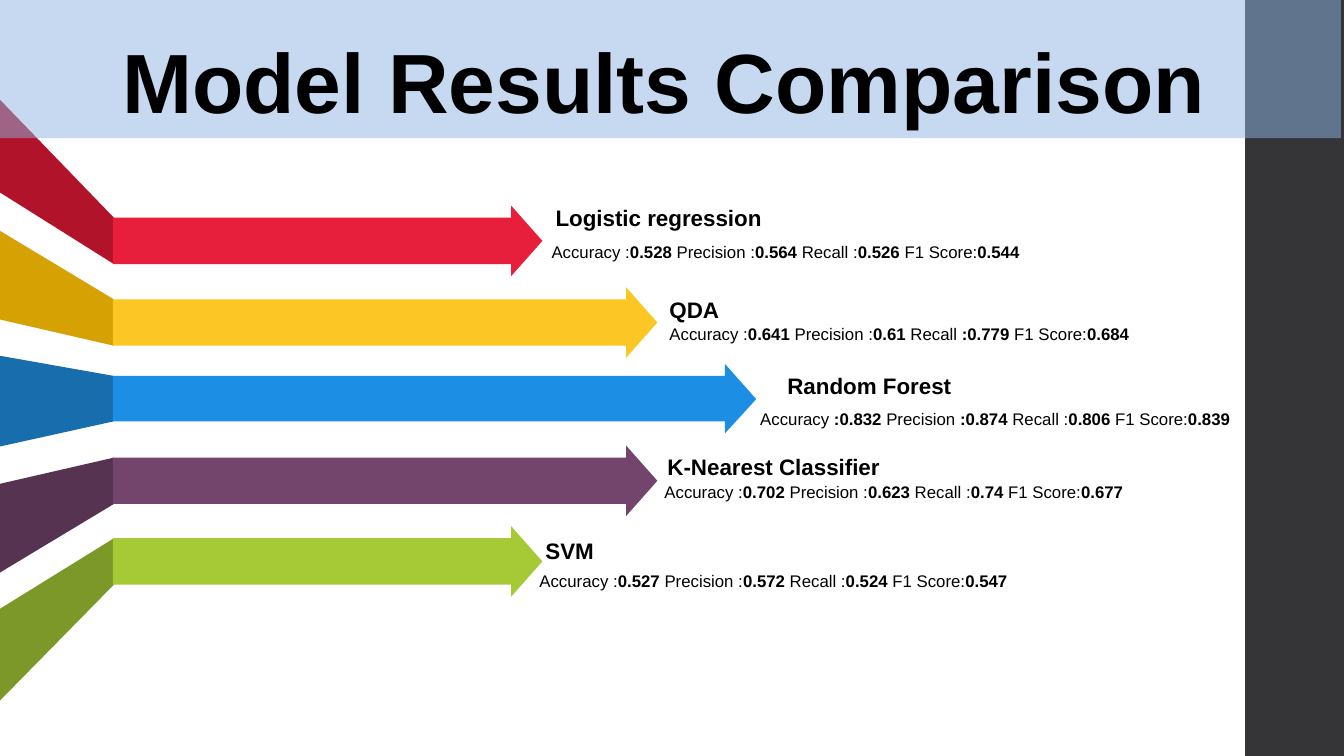
import pptx
import pptx.util
import pptx.dml.color
import pptx.enum.shapes
import pptx.enum.text
import pptx.oxml.ns

PX = 9144  # EMU per px, 100 px to the inch

THEME = {
    "font": "Arial", "ink": "000000", "side": "353537", "band": "8EB4E3",
    "title": 60, "head": 16, "body": 12,
    "red": ("E71F3C", "B1132A"), "gold": ("FCC725", "D6A203"),
    "blue": ("1C8EE4", "186DAD"), "plum": ("73446C", "563351"),
    "lime": ("A5CA36", "7C9828"),
}

# colour, shaft top and bottom, tip, tail top and bottom at the slide edge,
# name with its place and size, scores with their place; * switches bold
MODELS = [
    ("red", 216, 262, 538, 99, 191,
     "Logistic regression", (551, 203, 215, 59),
     "Accuracy :*0.528* Precision :*0.564* Recall :*0.526* F1 Score:*0.544", (547, 240)),
    ("gold", 297, 343, 652, 229, 317,
     "QDA", (664, 294, 196, 59),
     "Accuracy :*0.641* Precision :*0.61* Recall *:0.779* F1 Score:*0.684", (664, 321)),
    ("blue", 373, 418, 750, 353, 443,
     "Random Forest", (781, 369, 196, 59),
     "Accuracy *:0.832 *Precision *:0.874* Recall :*0.806* F1 Score:*0.839", (754, 406)),
    ("plum", 454, 500, 652, 480, 568,
     "K-Nearest Classifier", (662, 450, 237, 59),
     "Accuracy :*0.702* Precision :*0.623* Recall :*0.74* F1 Score:*0.677", (659, 478)),
    ("lime", 534, 580, 538, 604, 695,
     "SVM", (541, 533, 196, 27),
     "Accuracy :*0.527* Precision :*0.572* Recall :*0.524* F1 Score:*0.547", (535, 566)),
]
FOLD, HEAD, WING = 112, 31, 12  # tail edge, arrowhead length and overhang

deck = pptx.Presentation()
deck.slide_width, deck.slide_height = 1333 * PX, 750 * PX
slide = deck.slides.add_slide(deck.slide_layouts[5])
shapes = slide.shapes


def paint(shape, color):
    shape.shadow.inherit = False
    shape.fill.solid()
    shape.fill.fore_color.rgb = pptx.dml.color.RGBColor.from_string(color)
    shape.line.fill.background()


def write(shape, box, text, size, bold=False):
    shape.left, shape.top, shape.width, shape.height = [n * PX for n in box]
    frame = shape.text_frame
    frame.word_wrap = True
    frame.auto_size = pptx.enum.text.MSO_AUTO_SIZE.NONE
    frame.margin_left = frame.margin_top = frame.margin_right = frame.margin_bottom = 0
    para = frame.paragraphs[0]
    for i, part in enumerate(text.split("*")):
        run = para.add_run()
        run.text = part
        run.font.name = THEME["font"]
        run.font.size = pptx.util.Pt(size)
        run.font.bold = bold or i % 2 == 1
        run.font.color.rgb = pptx.dml.color.RGBColor.from_string(THEME["ink"])


# Side bar
rect = pptx.enum.shapes.MSO_SHAPE.RECTANGLE
side = shapes.add_shape(rect, 1235 * PX, 0, 98 * PX, 750 * PX)
paint(side, THEME["side"])

# Folded arrows with their labels
for hue, top, low, tip, high, deep, name, spot, scores, place in MODELS:
    back = tip - HEAD
    tail = [(0, high), (FOLD + 1, top), (FOLD + 1, low), (0, deep)]
    arrow = [(FOLD, top), (back, top), (back, top - WING), (tip, (top + low) / 2),
             (back, low + WING), (back, low), (FOLD, low)]
    bright, dark = THEME[hue]
    for points, color in ((tail, dark), (arrow, bright)):
        path = shapes.build_freeform(*points[0], scale=PX)
        path.add_line_segments(points[1:], close=True)
        paint(path.convert_to_shape(), color)
    write(shapes.add_textbox(0, 0, 0, 0), spot, name, THEME["head"], True)
    write(shapes.add_textbox(0, 0, 0, 0), (*place, 502, 44), scores, THEME["body"])

# Half-transparent title band
band = shapes.add_shape(rect, -3 * PX, 0, 1333 * PX, 137 * PX)
paint(band, THEME["band"])
tint = band.fill._xPr.find(".//" + pptx.oxml.ns.qn("a:srgbClr"))
alpha = pptx.oxml.parse_xml("<a:alpha %s val='50000'/>" % pptx.oxml.ns.nsdecls("a"))
tint.append(alpha)

# Title, brought in front of the band
title = shapes.title
write(title, (71, 28, 1175, 101), "Model Results Comparison", THEME["title"], True)
title.text_frame.vertical_anchor = pptx.enum.text.MSO_ANCHOR.BOTTOM
title.text_frame.paragraphs[0].alignment = pptx.enum.text.PP_ALIGN.CENTER
shapes._spTree.append(title._element)

deck.save("out.pptx")
